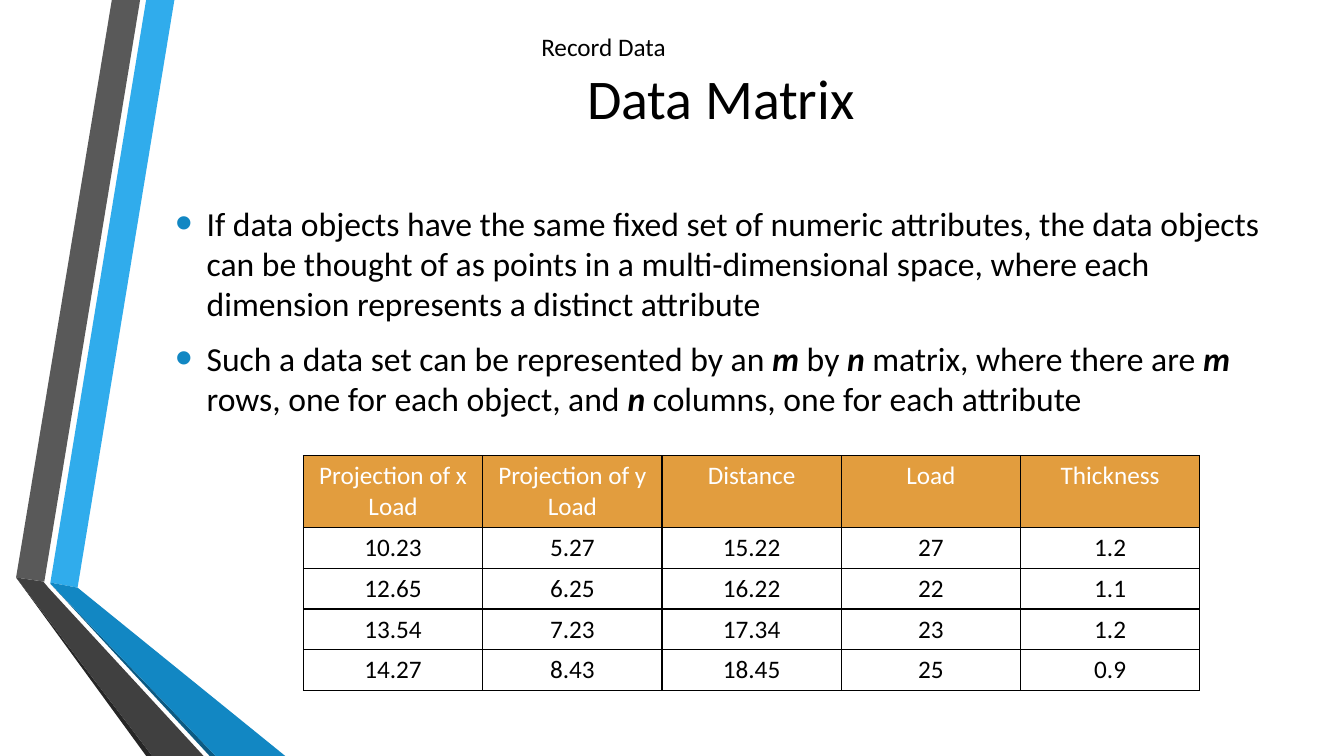
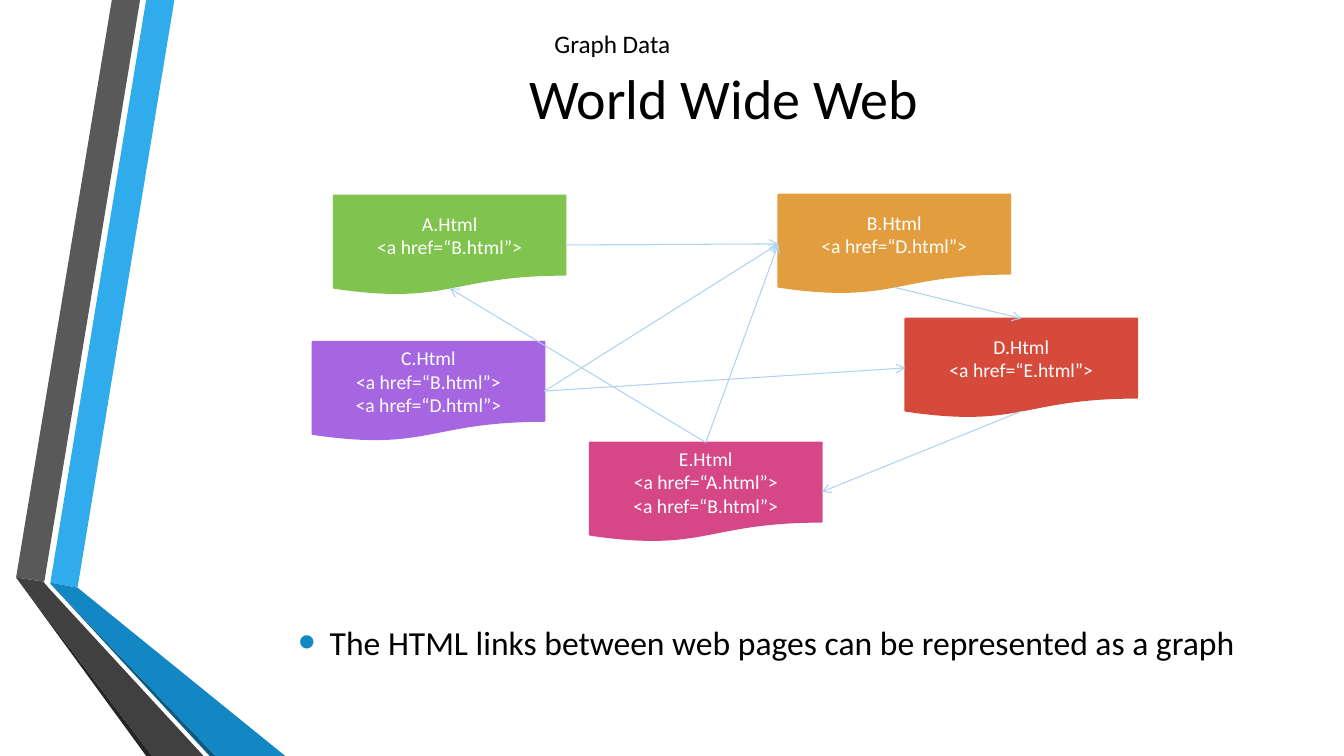
from dataclasses import dataclass

import pptx
import pptx.dml.color
import pptx.enum.shapes
import pptx.enum.text
import pptx.oxml
import pptx.oxml.ns
import pptx.presentation
import pptx.shapes.autoshape
import pptx.shapes.base
import pptx.slide
import pptx.table
import pptx.text.text
import pptx.util
from pptx.util import Inches

FONT = "Calibri"
BLACK, WHITE = "000000", "FFFFFF"
BLUE, ORANGE, ARROW_BLUE = "1287C3", "E29D3E", "AED2F4"
CENTER = pptx.enum.text.PP_ALIGN.CENTER
MIDDLE = pptx.enum.text.MSO_ANCHOR.MIDDLE

# Connection sites of a document shape
TOP, LEFT, BOTTOM, RIGHT = range(4)
PAGE_WIDTH, PAGE_HEIGHT = 2.3, 0.98
WAVE_HEIGHT = 0.92  # height of the bottom site on the wavy edge


@dataclass(frozen=True)
class Band:
    color: str
    points: list[tuple[float, float]]


@dataclass(frozen=True)
class Box:
    left: float
    top: float
    width: float
    height: float

    def lengths(self) -> list[pptx.util.Length]:
        return [Inches(n) for n in (self.left, self.top, self.width, self.height)]


@dataclass(frozen=True)
class WebPage:
    name: str
    left: float
    top: float
    color: str
    targets: str


@dataclass(frozen=True)
class Link:
    source: str
    source_site: int
    target: str
    target_site: int


BANDS = [
    Band("30ACEC", [(0.5, 5.78), (0.77, 5.83), (1.73, 0), (1.45, 0)]),
    Band("595959", [(1.39, 0), (1.11, 0), (0.16, 5.73), (0.44, 5.77)]),
    Band("262626", [(0.16, 5.73), (1.45, 7.5), (1.51, 7.5)]),
    Band("0C5A82", [(0.5, 5.79), (2.08, 7.5), (2.14, 7.5)]),
    Band(BLUE, [(0.5, 5.79), (2.14, 7.5), (2.83, 7.5), (0.77, 5.83), (0.5, 5.78)]),
    Band("404040", [(2.02, 7.5), (0.48, 5.83), (0.43, 5.77), (0.16, 5.73), (1.51, 7.5)]),
]

# Text between asterisks is set in bold italic
MATRIX_POINTS = [
    "If data objects have the same fixed set of numeric attributes, the data objects "
    "can be thought of as points in a multi-dimensional space, where each dimension "
    "represents a distinct attribute",
    "Such a data set can be represented by an *m* by *n* matrix, where there are *m* "
    "rows, one for each object, and *n* columns, one for each attribute",
]
MATRIX = [
    ["Projection of x Load", "Projection of y Load", "Distance", "Load", "Thickness"],
    ["10.23", "5.27", "15.22", "27", "1.2"],
    ["12.65", "6.25", "16.22", "22", "1.1"],
    ["13.54", "7.23", "17.34", "23", "1.2"],
    ["14.27", "8.43", "18.45", "25", "0.9"],
]

WEB_PAGES = [
    WebPage("D", 8.98, 3.16, "D64A3B", "E"),
    WebPage("A", 3.31, 1.94, "80C34F", "B"),
    WebPage("C", 3.1, 3.39, "A666E1", "BD"),
    WebPage("B", 7.72, 1.93, ORANGE, "D"),
    WebPage("E", 5.85, 4.39, "D64787", "AB"),
]
LINKS = [
    Link("A", RIGHT, "B", LEFT),
    Link("C", RIGHT, "B", LEFT),
    Link("C", RIGHT, "D", LEFT),
    Link("E", TOP, "B", LEFT),
    Link("D", BOTTOM, "E", RIGHT),
    Link("B", BOTTOM, "D", TOP),
    Link("E", TOP, "A", BOTTOM),
]


def rgb(color: str) -> pptx.dml.color.RGBColor:
    return pptx.dml.color.RGBColor.from_string(color)


def drawing_element(xml: str):
    """Make one DrawingML element, with the a: prefix declared."""
    head, rest = xml.split(" ", 1)
    return pptx.oxml.parse_xml(f"{head} {pptx.oxml.ns.nsdecls('a')} {rest}")


def add_text(para: pptx.text.text._Paragraph, text: str, *, size: float,
             color: str = BLACK, strong: bool = False) -> None:
    span = para.add_run()
    span.text = text
    span.font.name = FONT
    span.font.size = pptx.util.Pt(size)
    span.font.bold = span.font.italic = strong
    span.font.color.rgb = rgb(color)


def place(shape: pptx.shapes.base.BaseShape, box: Box) -> None:
    shape.left, shape.top, shape.width, shape.height = box.lengths()


def add_bands(slide: pptx.slide.Slide) -> None:
    """Draw the bands and move them to the layout that all slides share."""
    tree = slide.slide_layout.shapes.element
    for index, band in enumerate(BANDS, start=2):
        points = [(Inches(x), Inches(y)) for x, y in band.points]
        builder = slide.shapes.build_freeform(*points[0], scale=1.0)
        builder.add_line_segments(points[1:], close=True)
        shape = builder.convert_to_shape()
        shape.shadow.inherit = False
        shape.fill.solid()
        shape.fill.fore_color.rgb = rgb(band.color)
        shape.line.fill.background()
        tree.insert(index, shape.element)


def add_title(slide: pptx.slide.Slide, text: str, left: float) -> None:
    title = slide.shapes.title
    place(title, Box(left, 0, 10.96, 1.92))
    title.text_frame.vertical_anchor = MIDDLE
    para = title.text_frame.paragraphs[0]
    para.alignment = CENTER
    add_text(para, text, size=40)


def add_topic(slide: pptx.slide.Slide, text: str, left: float, top: float) -> None:
    box = slide.shapes.add_textbox(*Box(left, top, 2.41, 0.4).lengths())
    box.text_frame.word_wrap = True
    box.text_frame.auto_size = pptx.enum.text.MSO_AUTO_SIZE.SHAPE_TO_FIT_TEXT
    add_text(box.text_frame.paragraphs[0], text, size=18)


def add_bullets(slide: pptx.slide.Slide, points: list[str], box: Box,
                bottom_inset: float = 0.05) -> None:
    body = slide.placeholders[1]
    place(body, box)
    frame = body.text_frame
    frame.auto_size = pptx.enum.text.MSO_AUTO_SIZE.NONE
    frame.vertical_anchor = MIDDLE
    frame.margin_bottom = Inches(bottom_inset)
    for index, point in enumerate(points):
        para = frame.add_paragraph() if index else frame.paragraphs[0]
        para.space_before = pptx.util.Pt(4.2 if index else 0)
        para.space_after = pptx.util.Pt(6)
        properties = para._p.get_or_add_pPr()
        properties.set("marL", str(Inches(0.31)))
        properties.set("indent", str(Inches(-0.31)))
        for xml in (f'<a:buClr ><a:srgbClr val="{BLUE}"/></a:buClr>',
                    '<a:buSzPct val="145000"/>',
                    '<a:buFont typeface="Arial"/>',
                    '<a:buChar char="•"/>'):
            properties.append(drawing_element(xml))
        for part, text in enumerate(point.split("*")):
            add_text(para, text, size=24, strong=part % 2 == 1)


def add_borders(cell: pptx.table._Cell) -> None:
    properties = cell._tc.get_or_add_tcPr()
    for index, side in enumerate(("lnL", "lnR", "lnT", "lnB")):
        properties.insert(index, drawing_element(
            f'<a:{side} w="12700"><a:solidFill><a:srgbClr val="{BLACK}"/>'
            f'</a:solidFill></a:{side}>'))


def add_matrix(slide: pptx.slide.Slide, rows: list[list[str]], box: Box) -> None:
    table = slide.shapes.add_table(len(rows), len(rows[0]), *box.lengths()).table
    table.horz_banding = False
    for column in table.columns:
        column.width = Inches(box.width / len(rows[0]))
    for row_index, values in enumerate(rows):
        header = row_index == 0
        table.rows[row_index].height = Inches(0.71 if header else 0.4)
        for column_index, value in enumerate(values):
            cell = table.cell(row_index, column_index)
            cell.margin_left = cell.margin_right = Inches(0.13)
            cell.margin_top = cell.margin_bottom = Inches(0.05)
            if header:
                cell.fill.solid()
                cell.fill.fore_color.rgb = rgb(ORANGE)
            else:
                cell.fill.background()
            add_borders(cell)
            para = cell.text_frame.paragraphs[0]
            para.alignment = CENTER
            add_text(para, value, size=18, color=WHITE if header else BLACK)


def add_web_page(slide: pptx.slide.Slide,
                 page: WebPage) -> pptx.shapes.autoshape.Shape:
    shape = slide.shapes.add_shape(
        pptx.enum.shapes.MSO_SHAPE.FLOWCHART_DOCUMENT,
        *Box(page.left, page.top, PAGE_WIDTH, PAGE_HEIGHT).lengths())
    shape.shadow.inherit = False
    shape.fill.solid()
    shape.fill.fore_color.rgb = rgb(page.color)
    shape.line.color.rgb = rgb(page.color)
    shape.line.width = pptx.util.Pt(1.25)
    frame = shape.text_frame
    frame.word_wrap = True
    frame.vertical_anchor = MIDDLE
    lines = [f"{page.name}.Html"]
    lines += [f"<a href=“{target}.html”>" for target in page.targets]
    for index, line in enumerate(lines):
        para = frame.add_paragraph() if index else frame.paragraphs[0]
        para.alignment = CENTER
        add_text(para, line, size=14, color=WHITE)
    return shape


def add_link(slide: pptx.slide.Slide, link: Link,
             shapes: dict[str, pptx.shapes.autoshape.Shape]) -> None:
    source, target = shapes[link.source], shapes[link.target]
    arrow = slide.shapes.add_connector(
        pptx.enum.shapes.MSO_CONNECTOR.STRAIGHT, 0, 0, 0, 0)
    arrow.begin_connect(source, link.source_site)
    arrow.end_connect(target, link.target_site)
    # Bottom sites sit on the wave, above the frame
    if link.source_site == BOTTOM:
        arrow.begin_y = source.top + Inches(WAVE_HEIGHT)
    if link.target_site == BOTTOM:
        arrow.end_y = target.top + Inches(WAVE_HEIGHT)
    arrow.line.color.rgb = rgb(ARROW_BLUE)
    arrow.line.width = pptx.util.Pt(0.75)
    properties = arrow.element.spPr
    properties.find(pptx.oxml.ns.qn("a:ln")).append(
        drawing_element('<a:tailEnd type="arrow"/>'))
    properties.append(drawing_element("<a:effectLst />"))


def add_data_matrix_slide(deck: pptx.presentation.Presentation) -> None:
    slide = deck.slides.add_slide(deck.slide_layouts[1])
    add_bands(slide)
    add_title(slide, "Data Matrix", 1.67)
    # The deep bottom inset lifts the list clear of the table
    add_bullets(slide, MATRIX_POINTS, Box(1.64, 1.62, 10.96, 3.42), bottom_inset=0.55)
    add_matrix(slide, MATRIX, Box(3.01, 4.52, 8.89, 2.32))
    add_topic(slide, "Record Data", 5.27, 0.26)


def add_web_slide(deck: pptx.presentation.Presentation) -> None:
    slide = deck.slides.add_slide(deck.slide_layouts[1])
    add_title(slide, "World Wide Web", 1.7)
    add_bullets(slide, ["The HTML links between web pages can be represented as a graph"],
                Box(2.86, 5.46, 10.06, 1.82))
    add_topic(slide, "Graph Data", 5.4, 0.23)
    shapes = {page.name: add_web_page(slide, page) for page in WEB_PAGES}
    for link in LINKS:
        add_link(slide, link, shapes)


def main() -> None:
    deck = pptx.Presentation()
    deck.slide_width, deck.slide_height = Inches(13.33), Inches(7.5)
    add_data_matrix_slide(deck)
    add_web_slide(deck)
    deck.save("out.pptx")


if __name__ == "__main__":
    main()
